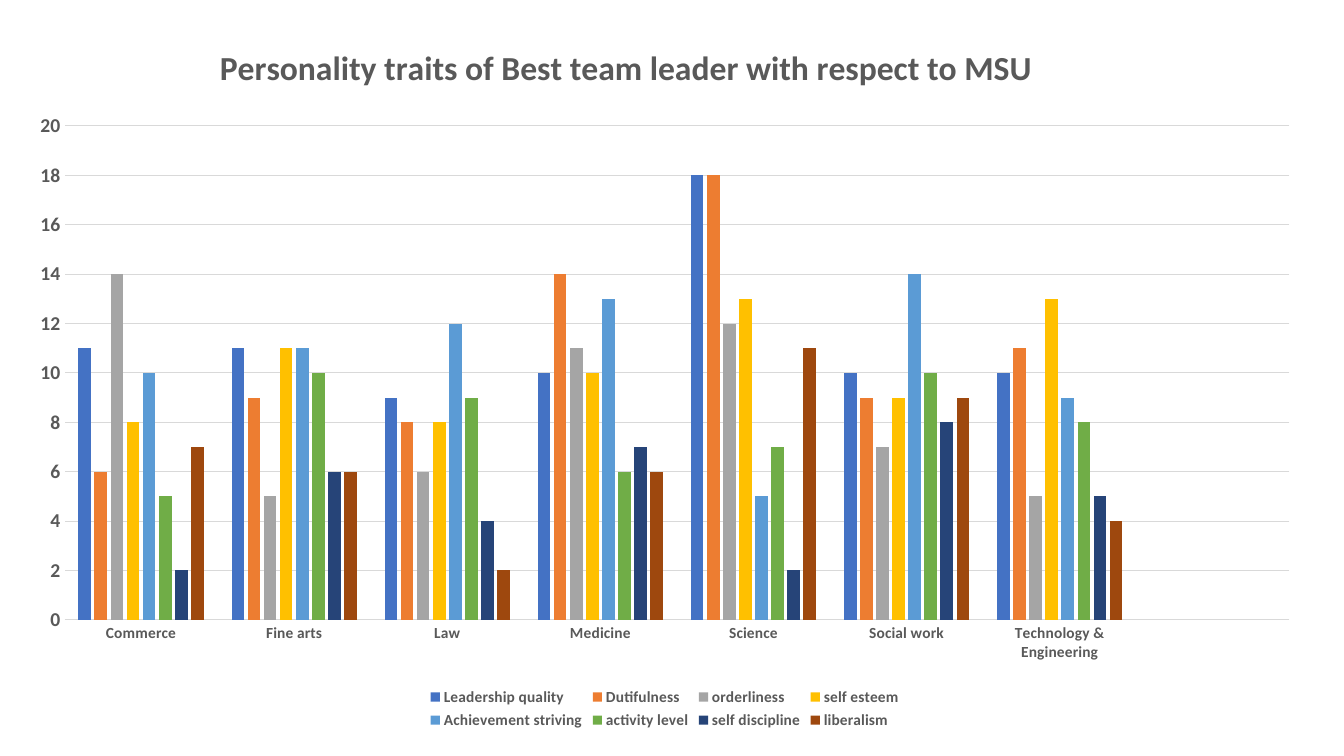
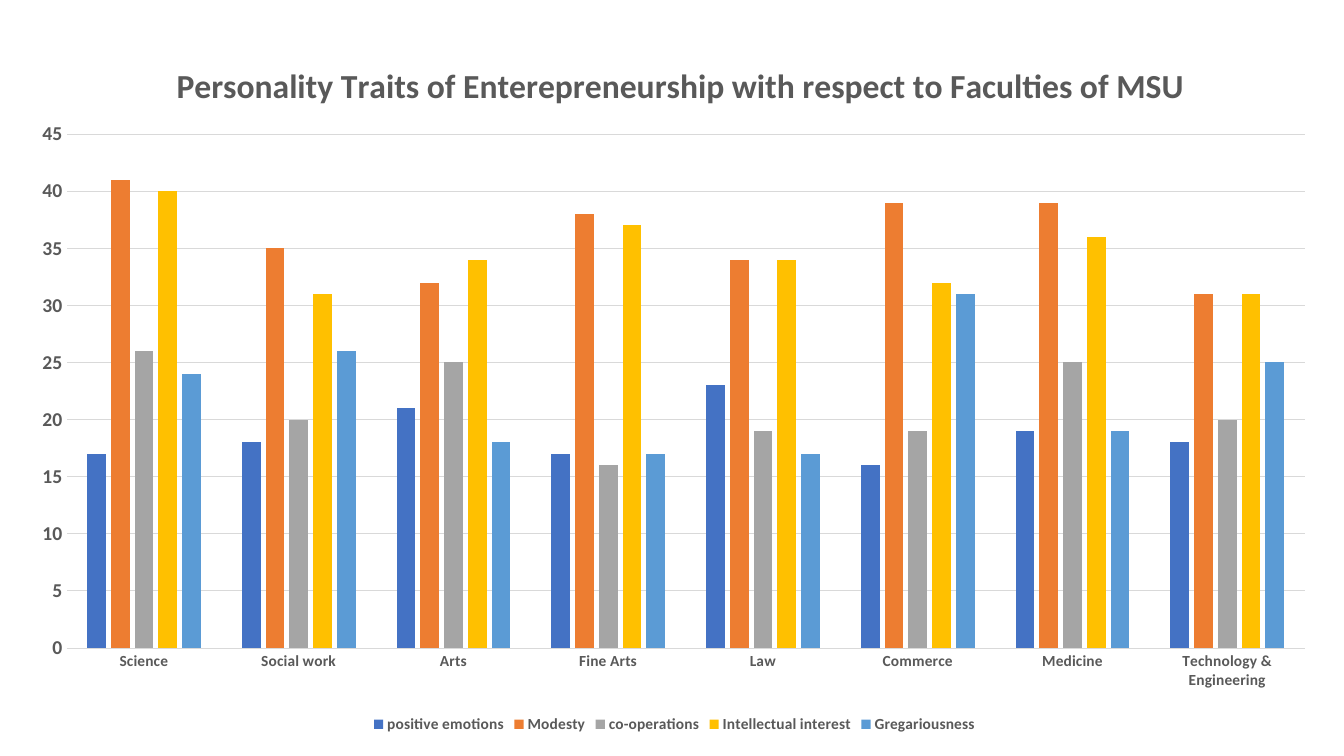
from dataclasses import dataclass
from lxml.etree import SubElement
from pptx import Presentation
from pptx.chart.data import CategoryChartData
from pptx.dml.color import RGBColor
from pptx.enum.chart import XL_CHART_TYPE as ChartType
from pptx.enum.chart import XL_LEGEND_POSITION as LegendPos
from pptx.enum.chart import XL_TICK_MARK as Tick
from pptx.oxml.ns import qn
from pptx.util import Inches, Pt

# Boxes are left, top, width, height in inches on the slide.
SLIDES = [
    {
        "title": "Personality traits of Best team leader with respect to MSU",
        "chart_box": (0.14, 0.19, 12.91, 7.09),
        "title_at": (2.12, 0.39),
        "plot_box": (0.64, 1.25, 12.15, 4.9),
        "legend_box": (4.22, 6.78, 4.75, 0.5),
        "scale": (20, 2),
        "categories": ["Commerce", "Fine arts", "Law", "Medicine", "Science",
                       "Social work", "Technology & Engineering", ""],
        "series": {
            "Leadership quality": [11, 11, 9, 10, 18, 10, 10, None],
            "Dutifulness": [6, 9, 8, 14, 18, 9, 11, None],
            "orderliness": [14, 5, 6, 11, 12, 7, 5, None],
            "self esteem": [8, 11, 8, 10, 13, 9, 13, None],
            "Achievement striving": [10, 11, 12, 13, 5, 14, 9, None],
            "activity level": [5, 10, 9, 6, 7, 10, 8, None],
            "self discipline": [2, 6, 4, 7, 2, 8, 5, None],
            "liberalism": [7, 6, 2, 6, 11, 9, 4, None],
        },
    },
    {
        "title": "Personality Traits of Enterepreneurship with respect to "
                 "Faculties of MSU",
        "chart_box": (0.17, 0.27, 13.04, 7.05),
        "title_at": (1.69, 0.56),
        "plot_box": (0.66, 1.33, 12.28, 5.1),
        "legend_box": None,
        "scale": (45, 5),
        "categories": ["Science", "Social work", "Arts", "Fine Arts", "Law",
                       "Commerce", "Medicine", "Technology & Engineering"],
        "series": {
            "positive emotions": [17, 18, 21, 17, 23, 16, 19, 18],
            "Modesty": [41, 35, 32, 38, 34, 39, 39, 31],
            "co-operations": [26, 20, 25, 16, 19, 19, 25, 20],
            "Intellectual interest": [40, 31, 34, 37, 34, 32, 36, 31],
            "Gregariousness": [24, 26, 18, 17, 17, 31, 19, 25],
        },
    },
]


@dataclass(frozen=True)
class Theme:
    """Colours, font and type sizes shared by the slides."""
    font: str = "Calibri"
    text: str = "595959"
    grid: str = "D9D9D9"
    bars: tuple = ("4472C4", "ED7D31", "A5A5A5", "FFC000",
                   "5B9BD5", "70AD47", "264478", "9E480E")
    title_size: int = 24
    value_size: int = 14
    label_size: int = 11
    line_width: float = 0.75
    gap: int = 219
    overlap: int = -27


THEME = Theme()


def style_font(font, size):
    """Apply the shared bold grey type at the given size."""
    for name, value in {"name": THEME.font, "size": Pt(size),
                        "bold": True}.items():
        setattr(font, name, value)
    font.color.rgb = RGBColor.from_string(THEME.text)


def style_line(line):
    """Apply the thin grey rule of the grid and the category axis."""
    line.color.rgb = RGBColor.from_string(THEME.grid)
    line.width = Pt(THEME.line_width)


def place(element, box, chart_box, inner=False):
    """Fix a chart part at a slide position, as fractions of the chart."""
    for old in element.findall(qn("c:layout")):
        element.remove(old)
    before = [i for i, child in enumerate(element)
              if child.tag in (qn("c:tx"), qn("c:legendPos"))]
    layout = element.makeelement(qn("c:layout"), {})
    element.insert(before[-1] + 1 if before else 0, layout)
    manual = SubElement(layout, qn("c:manualLayout"))
    left, top, width, height = chart_box
    fractions = [(box[0] - left) / width, (box[1] - top) / height]
    fractions += [n / whole for n, whole in zip(box[2:], (width, height))]
    settings = [("layoutTarget", "inner")] if inner else []
    settings += [("xMode", "edge"), ("yMode", "edge")]
    settings += [(key, f"{n:.4f}") for key, n in zip("xywh", fractions)]
    for key, value in settings:
        SubElement(manual, qn(f"c:{key}"), val=value)


def style_axes(chart, scale):
    """Format both axes and set the value scale."""
    cat, val = chart.category_axis, chart.value_axis
    for axis, size in ((cat, THEME.label_size), (val, THEME.value_size)):
        axis.major_tick_mark = axis.minor_tick_mark = Tick.NONE
        style_font(axis.tick_labels.font, size)
    style_line(cat.format.line)
    val.format.line.fill.background()
    style_line(val.major_gridlines.format.line)
    val.minimum_scale = 0
    val.maximum_scale, val.major_unit = scale


def add_bars(s, content):
    """Add one clustered column chart with title and legend."""
    data = CategoryChartData()
    data.categories = content["categories"]
    for name, values in content["series"].items():
        data.add_series(name, values)
    box = content["chart_box"]
    chart = s.shapes.add_chart(ChartType.COLUMN_CLUSTERED,
                               *map(Inches, box), data).chart
    chart.font.name, chart.font.size = THEME.font, Pt(10)

    plot = chart.plots[0]
    plot.gap_width, plot.overlap = THEME.gap, THEME.overlap
    plot.vary_by_categories = False
    for series, color in zip(plot.series, THEME.bars):
        series.format.fill.solid()
        series.format.fill.fore_color.rgb = RGBColor.from_string(color)
    style_axes(chart, content["scale"])
    place(chart._chartSpace.chart.plotArea, content["plot_box"], box, True)

    p = chart.chart_title.text_frame.paragraphs[0]
    r = p.add_run()
    r.text = content["title"]
    style_font(r.font, THEME.title_size)
    chart.chart_title.include_in_layout = False
    place(chart.chart_title._element, content["title_at"], box)

    chart.has_legend = True
    legend = chart.legend
    legend.position, legend.include_in_layout = LegendPos.BOTTOM, False
    style_font(legend.font, THEME.label_size)
    if content["legend_box"]:
        place(legend._element, content["legend_box"], box)


def main():
    """Build and save the presentation."""
    prs = Presentation()
    prs.slide_width, prs.slide_height = Inches(13.33), Inches(7.5)
    for content in SLIDES:
        add_bars(prs.slides.add_slide(prs.slide_layouts[6]), content)
    prs.save("out.pptx")


main()
